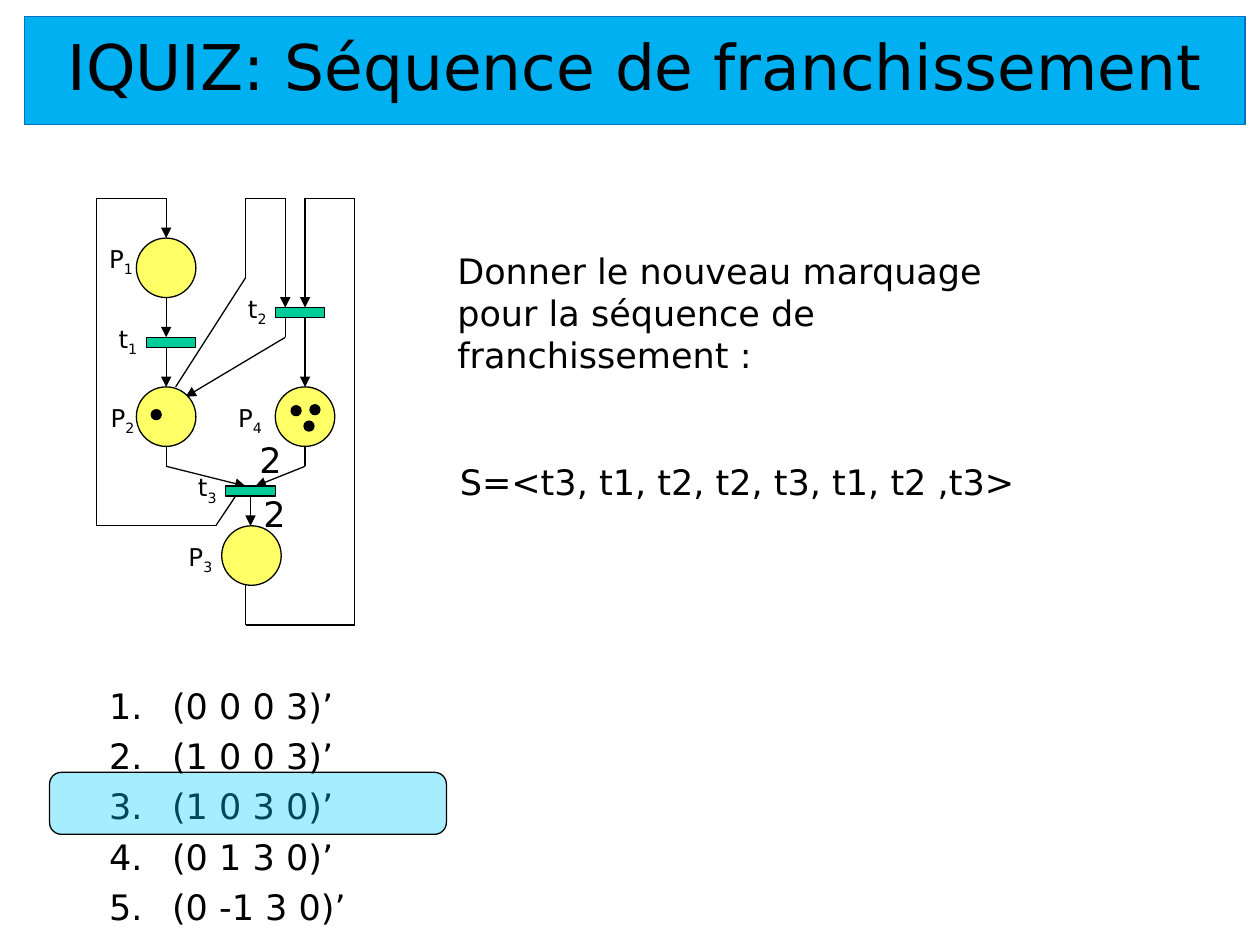
from itertools import pairwise

from lxml.etree import SubElement
from pptx import Presentation
from pptx.dml.color import RGBColor
from pptx.enum.shapes import MSO_CONNECTOR as Link, MSO_SHAPE as Shape
from pptx.enum.text import MSO_ANCHOR as Anchor, PP_ALIGN as Align
from pptx.oxml.ns import qn
from pptx.util import Cm, Pt

COLORS = {
    "black": "000000",
    "place": "FFFF66",
    "transition": "00CC99",
    "highlight": "00CCFF",
    "banner": "00B0F0",
    "banner_edge": "0070C0",
}
FONT = "DejaVu Sans"
PLACE, BAR, THIN, TOKEN = 1.2, 1, 0.2, 0.2


def paint(shape, fill, edge="black"):
    shape.fill.solid()
    shape.fill.fore_color.rgb = RGBColor.from_string(COLORS[fill])
    shape.line.color.rgb = RGBColor.from_string(COLORS[edge])
    shape.line.width = Pt(0.75)
    return shape


def write(paragraph, text, size, subscript=""):
    """Fill a paragraph with black text and an optional subscript."""
    paragraph.add_run().text = text
    if subscript:
        index = paragraph.add_run()
        index.text = subscript
        index.font._element.set("baseline", "-25000")
    font = paragraph.font
    font.name, font.size = FONT, Pt(size)
    font.color.rgb = RGBColor.from_string(COLORS["black"])


prs = Presentation()
prs.slide_width, prs.slide_height = Cm(25.4), Cm(19.05)
slide = prs.slides.add_slide(prs.slide_layouts[5])

# Title banner
title = paint(slide.shapes.title, "banner", "banner_edge")
title.left, title.top, title.width, title.height = Cm(0.5), Cm(0.33), Cm(24.6), Cm(2.18)
title.text_frame.vertical_anchor = Anchor.TOP
title.text_frame.margin_top = Cm(0.23)
title.text_frame.paragraphs[0].alignment = Align.CENTER
write(title.text_frame.paragraphs[0], "IQUIZ: Séquence de franchissement", 36)

# Petri net: each arc is a path in cm that ends in an arrowhead
net = slide.shapes.add_group_shape().shapes
arcs = [
    [(3.35, 6), (3.35, 6.8)],
    [(3.35, 7), (3.35, 7.8)],
    [(3.35, 9), (3.35, 9.4), (4.95, 9.8)],
    [(6.15, 9), (6.15, 9.4), (5.15, 9.8)],
    [(5.05, 10), (5.05, 10.6)],
    [(4.95, 11.8), (4.95, 12.6), (7.15, 12.6), (7.15, 4), (6.15, 4), (6.15, 6.2)],
    [(6.15, 6.4), (6.15, 7.8)],
    [(5.75, 6.4), (5.75, 6.8), (3.74, 8)],
    [(3.54, 7.8), (4.95, 5.6), (4.95, 4), (5.75, 4), (5.75, 6.2)],
    [(4.75, 10), (4.35, 10.6), (1.95, 10.6), (1.95, 4), (3.35, 4), (3.35, 4.8)],
]
for arc in arcs:
    for start, end in pairwise(arc):
        segment = net.add_connector(Link.STRAIGHT, *map(Cm, start + end))
        segment.line.color.rgb = RGBColor.from_string(COLORS["black"])
        segment.line.width = Pt(0.75)
        SubElement(segment._element.spPr, qn("a:effectLst"))
    SubElement(segment.line._get_or_add_ln(), qn("a:tailEnd"), type="triangle")

for x, y in [(2.75, 4.8), (2.75, 7.8), (4.47, 10.6), (5.55, 7.8)]:
    place = net.add_shape(Shape.OVAL, Cm(x), Cm(y), Cm(PLACE), Cm(PLACE))
    paint(place, "place").shadow.inherit = False

for x, y in [(2.95, 6.8), (5.55, 6.2), (4.55, 9.8)]:
    transition = net.add_shape(Shape.RECTANGLE, Cm(x), Cm(y), Cm(BAR), Cm(THIN))
    paint(transition, "transition").shadow.inherit = False

node_labels = [
    ("P", "1", 1.95, 4.8, 1.12), ("P", "2", 1.98, 8, 1.6),
    ("P", "3", 3.55, 10.8, 1.6), ("P", "4", 4.55, 8, 1.4),
    ("t", "1", 2.14, 6.4, 1), ("t", "2", 4.75, 5.8, 1), ("t", "3", 3.74, 9.4, 1),
]
for letter, number, x, y, width in node_labels:
    label = net.add_textbox(Cm(x), Cm(y), Cm(width), Cm(0.85)).text_frame
    label.word_wrap = True
    write(label.paragraphs[0], letter, 14, number)

for x, y in [(3.05, 8.26), (5.87, 8.18), (6.25, 8.16), (6.13, 8.49)]:
    token = slide.shapes.add_shape(Shape.OVAL, Cm(x), Cm(y), Cm(TOKEN), Cm(TOKEN))
    paint(token, "black").shadow.inherit = False

# Arc weights, question and firing sequence
texts = [
    ("2", 4.98, 8.71, 1.4, 1.1, True),
    ("2", 5.06, 9.8, 1.4, 1.1, True),
    ("Donner le nouveau marquage pour la séquence de franchissement :",
     8.97, 4.9, 12.7, 2.82, True),
    ("S=<t3, t1, t2, t2, t3, t1, t2 ,t3>", 9.02, 9.15, 12.62, 1.11, False),
]
for text, x, y, width, height, wrap in texts:
    frame = slide.shapes.add_textbox(Cm(x), Cm(y), Cm(width), Cm(height)).text_frame
    frame.word_wrap = wrap
    write(frame.paragraphs[0], text, 20)

# Numbered answers, with the right one highlighted
answers = slide.shapes.add_textbox(Cm(1.95), Cm(13.67), Cm(21.6), Cm(11.43)).text_frame
answers.word_wrap = True
markings = ["(0 0 0 3)’", "(1 0 0 3)’", "(1 0 3 0)’", "(0 1 3 0)’", "(0 -1 3 0)’"]
for i, marking in enumerate(markings):
    answer = answers.add_paragraph() if i else answers.paragraphs[0]
    properties = answer._p.get_or_add_pPr()
    properties.set("marL", str(Cm(1.27)))
    properties.set("indent", str(Cm(-1.27)))
    SubElement(properties, qn("a:buAutoNum"), type="arabicPeriod")
    if i:
        answer.space_before = Pt(4.7)
    write(answer, marking, 20)

highlight = slide.shapes.add_shape(
    Shape.ROUNDED_RECTANGLE, Cm(1), Cm(15.57), Cm(8), Cm(1.25))
highlight.adjustments[0] = 0.19
paint(highlight, "highlight").shadow.inherit = False
tint = highlight._element.spPr.find(qn("a:solidFill"))[0]
SubElement(tint, qn("a:alpha"), val="35000")

prs.save("out.pptx")
